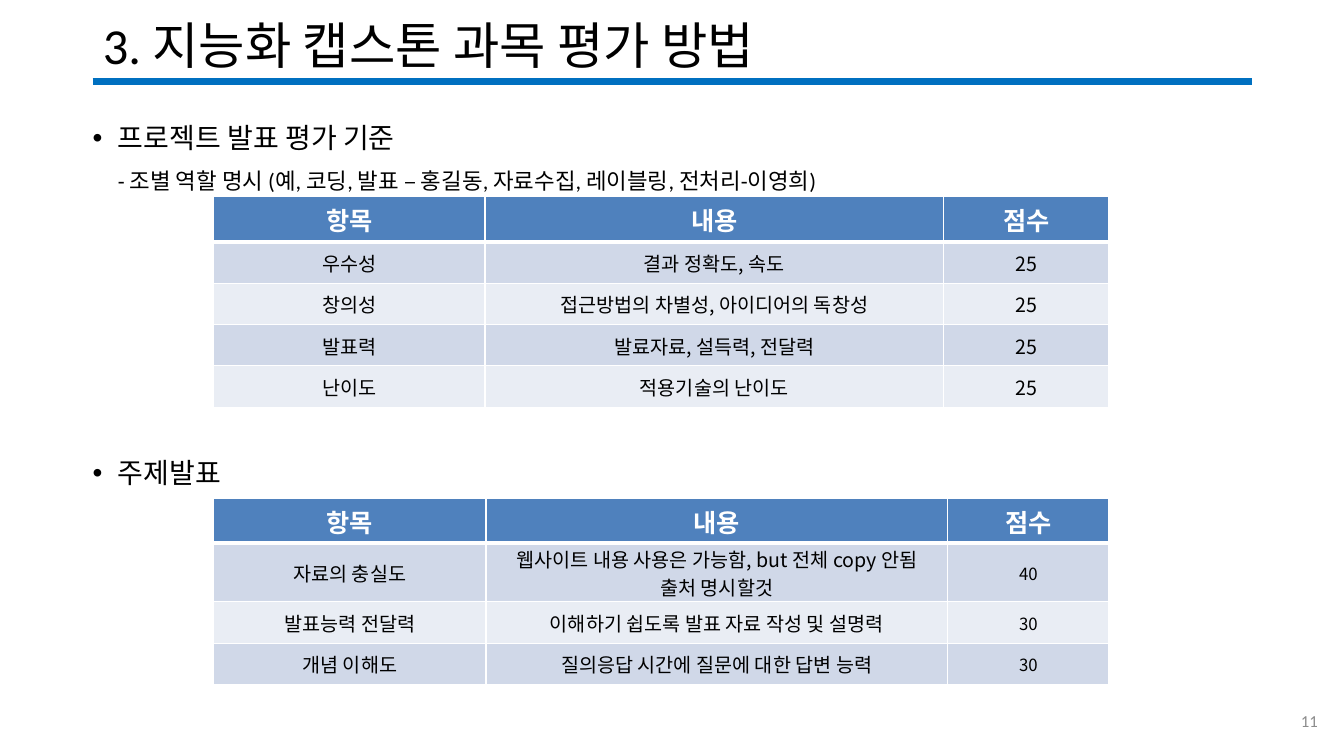
from pptx import Presentation
from pptx.dml.color import RGBColor
from pptx.enum.shapes import MSO_CONNECTOR
from pptx.enum.text import MSO_ANCHOR, PP_ALIGN
from pptx.oxml.ns import qn
from pptx.util import Inches, Pt
from lxml.etree import SubElement

LATIN = "Calibri"
KOREAN = "Noto Sans CJK KR"
HEADINGS = ["항목", "내용", "점수"]
HEADING_HEIGHT = 0.45
CRITERIA = [
    ["우수성", "결과 정확도, 속도", "25"],
    ["창의성", "접근방법의 차별성, 아이디어의 독창성", "25"],
    ["발표력", "발료자료, 설득력, 전달력", "25"],
    ["난이도", "적용기술의 난이도", "25"],
]
TOPIC_SCORES = [
    ["자료의 충실도", "웹사이트 내용 사용은 가능함, but 전체 copy 안됨\n출처 명시할것", "40"],
    ["발표능력 전달력", "이해하기 쉽도록 발표 자료 작성 및 설명력", "30"],
    ["개념 이해도", "질의응답 시간에 질문에 대한 답변 능력", "30"],
]


def color(value):
    return RGBColor.from_string(value)


def add_span(para, text, size, shade="000000", face=LATIN, bold=False):
    span = para.add_run()
    span.text = text
    span.font.size = Pt(size)
    span.font.name = face
    span.font.bold = bold
    span.font.color.rgb = color(shade)


def add_box(page, left, top, width, height):
    frame = page.shapes.add_textbox(
        Inches(left), Inches(top), Inches(width), Inches(height)).text_frame
    frame.word_wrap = True
    frame.margin_left = frame.margin_right = 0
    frame.margin_top = frame.margin_bottom = 0
    return frame


def add_heading(page, left, top, width, height, text):
    title = page.shapes.title
    title.left, title.top = Inches(left), Inches(top)
    title.width, title.height = Inches(width), Inches(height)
    title.text_frame.vertical_anchor = MSO_ANCHOR.MIDDLE
    para = title.text_frame.paragraphs[0]
    para.alignment = PP_ALIGN.LEFT
    para.line_spacing = 0.9
    add_span(para, text, 36)
    bottom = Inches(top + height)
    rule = page.shapes.add_connector(
        MSO_CONNECTOR.STRAIGHT, Inches(left), bottom, Inches(left + width), bottom)
    rule.line.color.rgb = color("0070C0")
    rule.line.width = Pt(5)
    SubElement(rule._element.spPr, qn("a:effectLst"))


def add_topic(page, left, top, width, height, text, detail=None):
    frame = add_box(page, left, top, width, height)
    para = frame.paragraphs[0]
    add_span(para, text, 20)
    properties = para._p.get_or_add_pPr()
    properties.set("marL", str(Inches(0.25)))
    properties.set("indent", str(-Inches(0.25)))
    SubElement(properties, qn("a:buFont")).set("typeface", "Arial")
    SubElement(properties, qn("a:buChar")).set("char", "•")
    if detail:
        para = frame.add_paragraph()
        para.space_before = Pt(9)
        para._p.get_or_add_pPr().set("marL", str(Inches(0.25)))
        add_span(para, detail, 16)


def add_bottom_border(cell, width, shade):
    properties = cell._tc.get_or_add_tcPr()
    border = properties.makeelement(qn("a:lnB"), {"w": str(Pt(width))})
    SubElement(SubElement(border, qn("a:solidFill")), qn("a:srgbClr")).set("val", shade)
    properties.insert(0, border)


def fill_cell(cell, text, fill, size, shade, face, bold):
    cell.fill.solid()
    cell.fill.fore_color.rgb = color(fill)
    for index, line in enumerate(text.split("\n")):
        frame = cell.text_frame
        para = frame.add_paragraph() if index else frame.paragraphs[0]
        para.alignment = PP_ALIGN.CENTER
        add_span(para, line, size, shade, face, bold)


def add_score_table(page, left, top, widths, records, score_size):
    heights = [HEADING_HEIGHT]
    heights += [0.58 if "\n" in record[1] else 0.41 for record in records]
    table = page.shapes.add_table(
        len(heights), len(widths), Inches(left), Inches(top),
        Inches(sum(widths)), Inches(sum(heights))).table
    for column, width in zip(table.columns, widths):
        column.width = Inches(width)
    for row, height in zip(table.rows, heights):
        row.height = Inches(height)
    for index, heading in enumerate(HEADINGS):
        cell = table.cell(0, index)
        fill_cell(cell, heading, "4F81BD", 18, "FFFFFF", LATIN, True)
        add_bottom_border(cell, 3, "FFFFFF")
    for row, record in enumerate(records, 1):
        fill = "D0D8E8" if row % 2 else "E9EDF4"
        for index, text in enumerate(record):
            cell = table.cell(row, index)
            cell.vertical_anchor = MSO_ANCHOR.MIDDLE
            cell.margin_left = cell.margin_right = cell.margin_top = Inches(0.01)
            cell.margin_bottom = 0
            size = score_size if index == 2 else 14
            fill_cell(cell, text, fill, size, "000000", KOREAN, False)


def add_page_number(page, left, top, width, height, number):
    frame = add_box(page, left, top, width, height)
    frame.vertical_anchor = MSO_ANCHOR.MIDDLE
    frame.margin_right = Inches(0.1)
    para = frame.paragraphs[0]
    para.alignment = PP_ALIGN.RIGHT
    add_span(para, number, 12, "8C8C8C")


def main():
    deck = Presentation()
    deck.slide_width, deck.slide_height = Inches(13.33), Inches(7.5)
    page = deck.slides.add_slide(deck.slide_layouts[5])
    add_heading(page, 0.92, 0.14, 11.5, 0.67, "3. 지능화 캡스톤 과목 평가 방법")
    add_topic(page, 0.92, 1.2, 11.4, 0.75, "프로젝트 발표 평가 기준",
              "- 조별 역할 명시 (예, 코딩, 발표 – 홍길동, 자료수집, 레이블링, 전처리-이영희)")
    add_score_table(page, 2.12, 1.95, [2.69, 4.55, 1.64], CRITERIA, 14)
    add_topic(page, 0.92, 4.52, 11.4, 0.4, "주제발표")
    add_score_table(page, 2.12, 4.94, [2.7, 4.58, 1.6], TOPIC_SCORES, 12)
    add_page_number(page, 10.17, 6.95, 3, 0.4, "11")
    deck.save("out.pptx")


if __name__ == "__main__":
    main()
